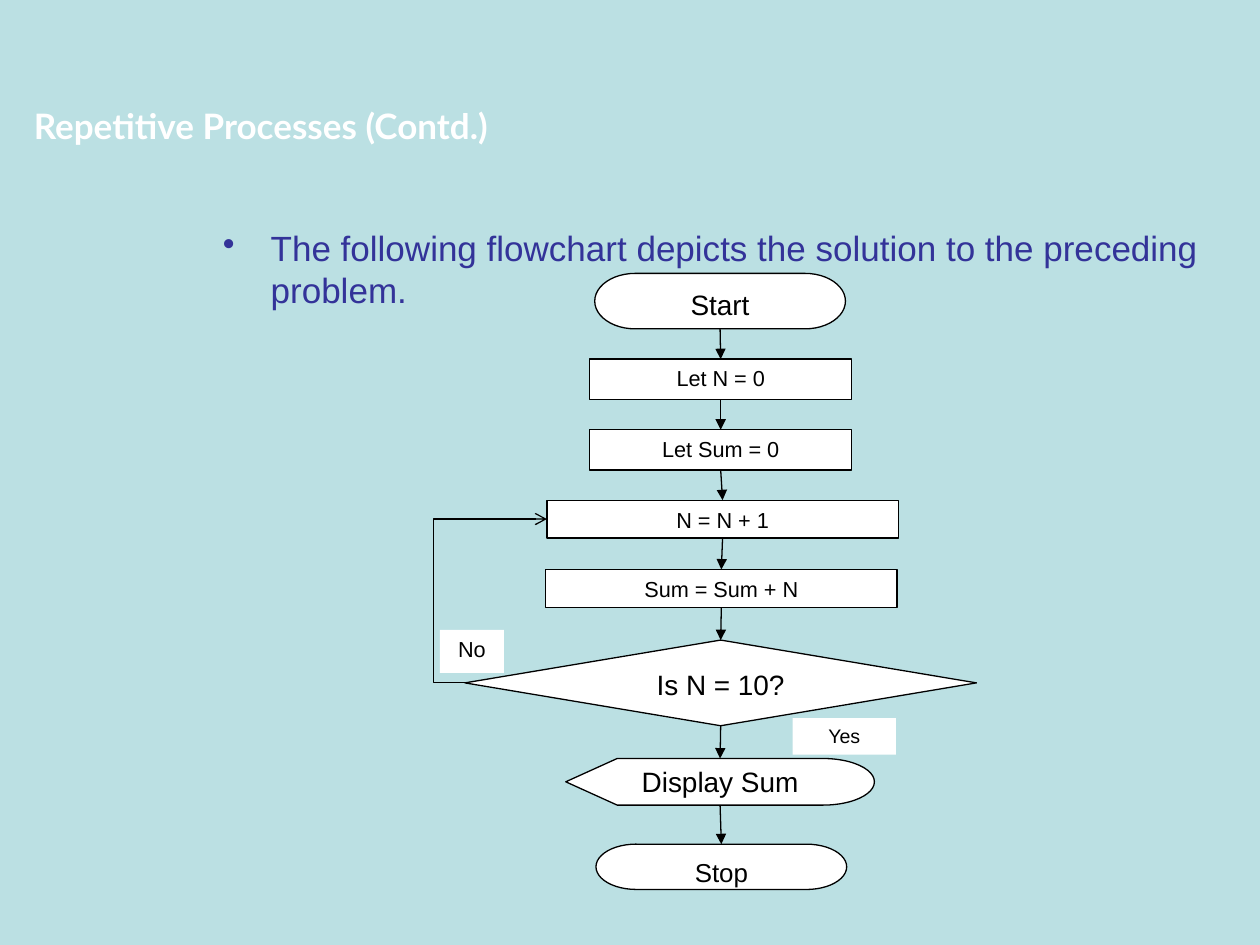
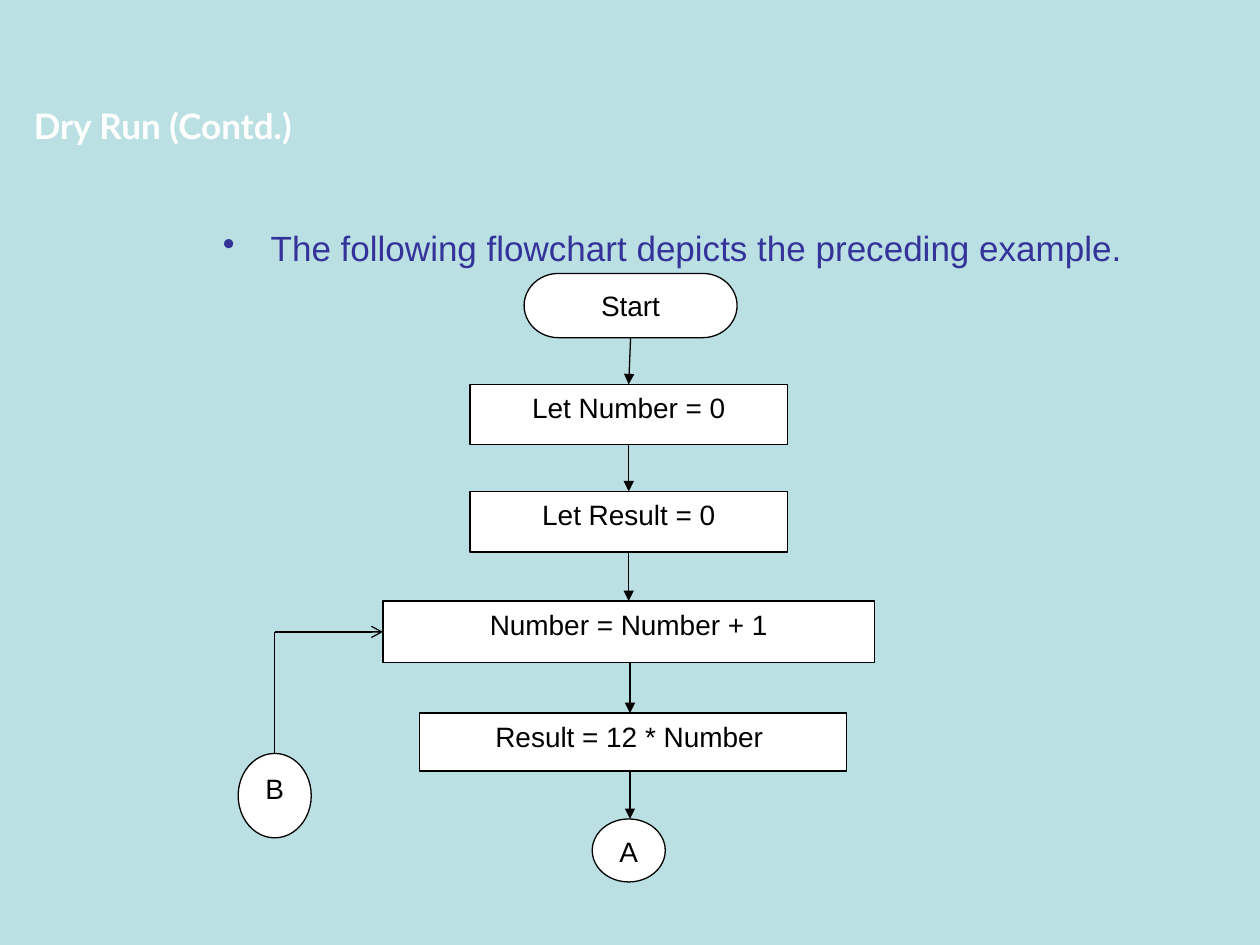
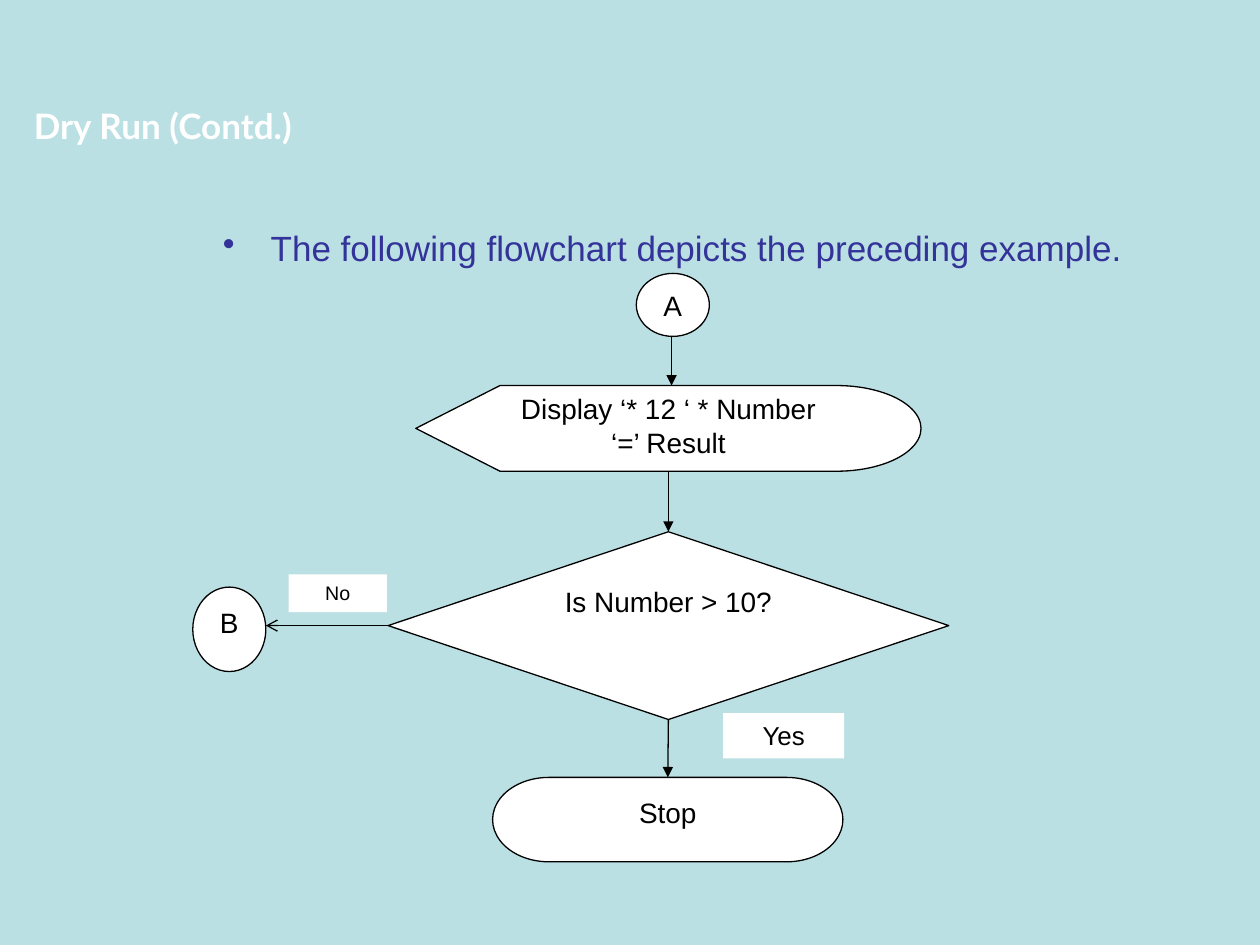
import pptx
import pptx.dml.color
import pptx.enum.shapes
import pptx.enum.text
import pptx.oxml.ns
import pptx.util
from lxml import etree

Inches, Pt = pptx.util.Inches, pptx.util.Pt
PRESET = pptx.enum.shapes.MSO_SHAPE
CONNECTOR = pptx.enum.shapes.MSO_CONNECTOR
ALIGN = pptx.enum.text.PP_ALIGN
qn = pptx.oxml.ns.qn

# Kinds of flowchart symbol
TERMINATOR = PRESET.FLOWCHART_TERMINATOR
PROCESS = PRESET.FLOWCHART_PROCESS
DECISION = PRESET.FLOWCHART_DECISION
DISPLAY = PRESET.FLOWCHART_DISPLAY
JUNCTION = PRESET.FLOWCHART_CONNECTOR

# Connection sites of a four-sided symbol
TOP, LEFT, BOTTOM = 0, 1, 2


def color(value):
    return pptx.dml.color.RGBColor.from_string(value)


class Deck:
    BACKGROUND, TITLE, BODY = "BBE0E3", "FFFFFF", "333399"
    FILL, INK = "FFFFFF", "000000"
    TITLE_FONT, BODY_FONT = "Lato", "Arial"
    LINE_WIDTH = 0.75

    def __init__(self):
        self.deck = pptx.Presentation()
        self.deck.slide_width, self.deck.slide_height = Inches(10), Inches(7.5)
        self.slide = None

    def new_slide(self, title, point):
        self.slide = self.deck.slides.add_slide(self.deck.slide_layouts[6])
        background = self.slide.background.fill
        background.solid()
        background.fore_color.rgb = color(self.BACKGROUND)
        self.bullet(point)
        self.title(title)

    def set_text(self, frame, text, size, font, ink):
        """Fill a text frame with one paragraph."""
        frame.word_wrap = True
        frame.vertical_anchor = pptx.enum.text.MSO_ANCHOR.TOP
        paragraph = frame.paragraphs[0]
        paragraph.text = text
        paragraph.font.size = Pt(size)
        paragraph.font.name = font
        paragraph.font.color.rgb = color(ink)
        return paragraph

    def text_box(self, box, text, font, ink, space_before):
        frame = self.slide.shapes.add_textbox(*map(Inches, box)).text_frame
        paragraph = self.set_text(frame, text, 20, font, ink)
        paragraph.space_before = Pt(space_before)
        return paragraph

    def title(self, text):
        heading = self.text_box((0.17, 0.78, 7.5, 0.44), text, self.TITLE_FONT, self.TITLE, 12.5)
        heading.font.bold = True

    def bullet(self, text):
        point = self.text_box((1.67, 1.75, 8, 5), text, self.BODY_FONT, self.BODY, 5)
        properties = point._p.get_or_add_pPr()
        properties.set("marL", str(Inches(0.38)))
        properties.set("indent", str(-Inches(0.38)))
        # The bullet belongs before the default run properties
        bullet_color = etree.Element(qn("a:buClr"))
        etree.SubElement(bullet_color, qn("a:srgbClr"), val=self.BODY)
        bullet_sign = etree.Element(qn("a:buChar"), char="•")
        defaults = properties.find(qn("a:defRPr"))
        for part in (bullet_color, bullet_sign):
            defaults.addprevious(part)

    def symbol(self, kind, text, box, size=16, outlined=True):
        shape = self.slide.shapes.add_shape(kind, *map(Inches, box))
        shape.shadow.inherit = False
        shape.fill.solid()
        shape.fill.fore_color.rgb = color(self.FILL)
        if outlined:
            self.outline(shape.line)
        else:
            shape.line.fill.background()
        paragraph = self.set_text(shape.text_frame, text, size, self.BODY_FONT, self.INK)
        paragraph.alignment = ALIGN.CENTER
        paragraph.space_after = Pt(10)
        return shape

    def label(self, text, box, size):
        self.symbol(PRESET.RECTANGLE, text, box, size, outlined=False)

    def outline(self, line):
        line.color.rgb = color(self.INK)
        line.width = Pt(self.LINE_WIDTH)

    def line(self, start, end, head=None, kind=CONNECTOR.STRAIGHT):
        """Draw a line between two points given in EMU."""
        link = self.slide.shapes.add_connector(kind, *start, *end)
        self.outline(link.line)
        properties = link._element.spPr
        if head:
            etree.SubElement(properties.find(qn("a:ln")), qn("a:tailEnd"), type=head)
        etree.SubElement(properties, qn("a:effectLst"))
        return link

    def flow(self, upper, lower, axis=None):
        """Arrow down to the next symbol; an axis keeps it off the symbols' own middles."""
        middles = [s.left + s.width // 2 for s in (upper, lower)]
        start_x, end_x = middles if axis is None else (Inches(axis), Inches(axis))
        arrow = self.line((start_x, upper.top + upper.height), (end_x, lower.top), "triangle")
        if axis is None:
            arrow.begin_connect(upper, BOTTOM)
            arrow.end_connect(lower, TOP)

    def chain(self, symbols):
        for upper, lower in zip(symbols, symbols[1:]):
            self.flow(upper, lower)

    def loop_back(self, source, target, bend):
        """Elbow arrow from the left of one symbol to the left of another."""
        ends = [(s.left, s.top + s.height // 2) for s in (source, target)]
        elbow = self.line(*ends, "arrow", CONNECTOR.ELBOW)
        elbow.begin_connect(source, LEFT)
        elbow.end_connect(target, LEFT)
        guides = elbow._element.spPr.find(qn("a:prstGeom")).find(qn("a:avLst"))
        etree.SubElement(guides, qn("a:gd"), name="adj1", fmla=f"val {bend}")


def repetitive_processes(deck):
    deck.new_slide("Repetitive Processes (Contd.)",
                   "The following flowchart depicts the solution to the preceding problem.")
    steps = [deck.symbol(*step) for step in (
        (TERMINATOR, "Start", (4.72, 2.17, 1.99, 0.44)),
        (PROCESS, "Let N = 0", (4.68, 2.85, 2.08, 0.32), 12.4),
        (PROCESS, "Let Sum = 0", (4.68, 3.41, 2.08, 0.32), 12.4),
        (PROCESS, "N = N + 1", (4.34, 3.97, 2.79, 0.3), 12.4),
        (PROCESS, "Sum = Sum + N", (4.33, 4.52, 2.79, 0.3), 12.4),
        (DECISION, "Is N = 10?", (3.69, 5.08, 4.06, 0.68)),
        (DISPLAY, "Display Sum", (4.49, 6.02, 2.45, 0.37)),
        (TERMINATOR, "Stop", (4.73, 6.7, 1.99, 0.36), 14.8),
    )]
    deck.chain(steps)
    increment, decision = steps[3], steps[5]
    deck.label("Yes", (6.29, 5.7, 0.82, 0.29), 11.2)
    deck.label("No", (3.49, 5, 0.51, 0.34), 12.4)
    deck.loop_back(decision, increment, bend=-38100)


def dry_run_first_half(deck):
    deck.new_slide("Dry Run (Contd.)", "The following flowchart depicts the preceding example.")
    steps = [deck.symbol(*step) for step in (
        (TERMINATOR, "Start", (4.16, 2.17, 1.69, 0.51)),
        (PROCESS, "Let Number = 0", (3.73, 3.05, 2.52, 0.48)),
        (PROCESS, "Let Result = 0", (3.73, 3.9, 2.52, 0.48)),
        (PROCESS, "Number = Number + 1", (3.04, 4.77, 3.9, 0.49)),
        (PROCESS, "Result = 12 * Number ", (3.33, 5.66, 3.39, 0.46)),
        (JUNCTION, "A", (4.7, 6.5, 0.58, 0.5)),
    )]
    increment, multiply, exit_a = steps[3:]
    deck.chain(steps[:4])
    deck.flow(increment, multiply, axis=5)
    deck.flow(multiply, exit_a, axis=5)

    # Return from B to the increment
    entry_b = deck.symbol(JUNCTION, "B", (1.89, 5.98, 0.58, 0.67))
    corner = (entry_b.left + entry_b.width // 2, increment.top + increment.height // 2)
    deck.line(corner, (corner[0], entry_b.top))
    back = deck.line(corner, (increment.left, corner[1]), "arrow")
    back.end_connect(increment, LEFT)


def dry_run_second_half(deck):
    deck.new_slide("Dry Run (Contd.)", "The following flowchart depicts the preceding example.")
    steps = [deck.symbol(*step) for step in (
        (JUNCTION, "A", (5.05, 2.17, 0.58, 0.5)),
        (DISPLAY, "Display ‘* 12 ‘ * Number ‘=’ Result", (3.3, 3.06, 4.01, 0.68)),
        (DECISION, "Is Number > 10?", (3.08, 4.22, 4.45, 1.49)),
        (TERMINATOR, "Stop", (3.91, 6.17, 2.78, 0.67)),
    )]
    entry_a, display, decision, stop = steps
    deck.flow(entry_a, display, axis=5.33)
    deck.chain([display, decision, stop])
    deck.label("Yes", (5.74, 5.66, 0.96, 0.36), 14.8)
    deck.label("No", (2.29, 4.56, 0.78, 0.3), 11.2)

    # Exit to B
    exit_b = deck.symbol(JUNCTION, "B", (1.53, 4.66, 0.58, 0.67))
    middle = decision.top + decision.height // 2
    leave = deck.line((decision.left, middle), (exit_b.left + exit_b.width, middle), "arrow")
    leave.begin_connect(decision, LEFT)


def main():
    deck = Deck()
    repetitive_processes(deck)
    dry_run_first_half(deck)
    dry_run_second_half(deck)
    deck.deck.save("out.pptx")


if __name__ == "__main__":
    main()
